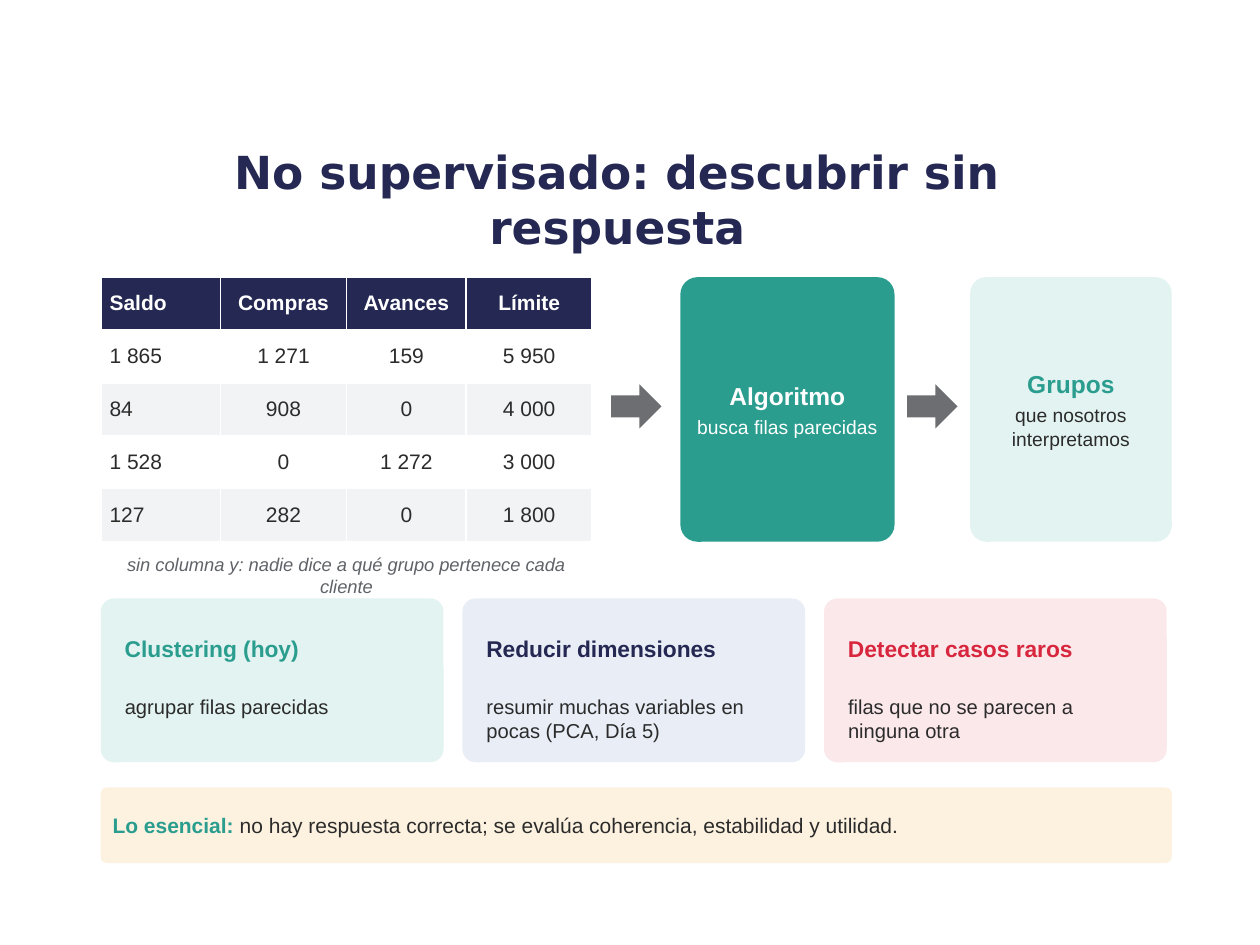
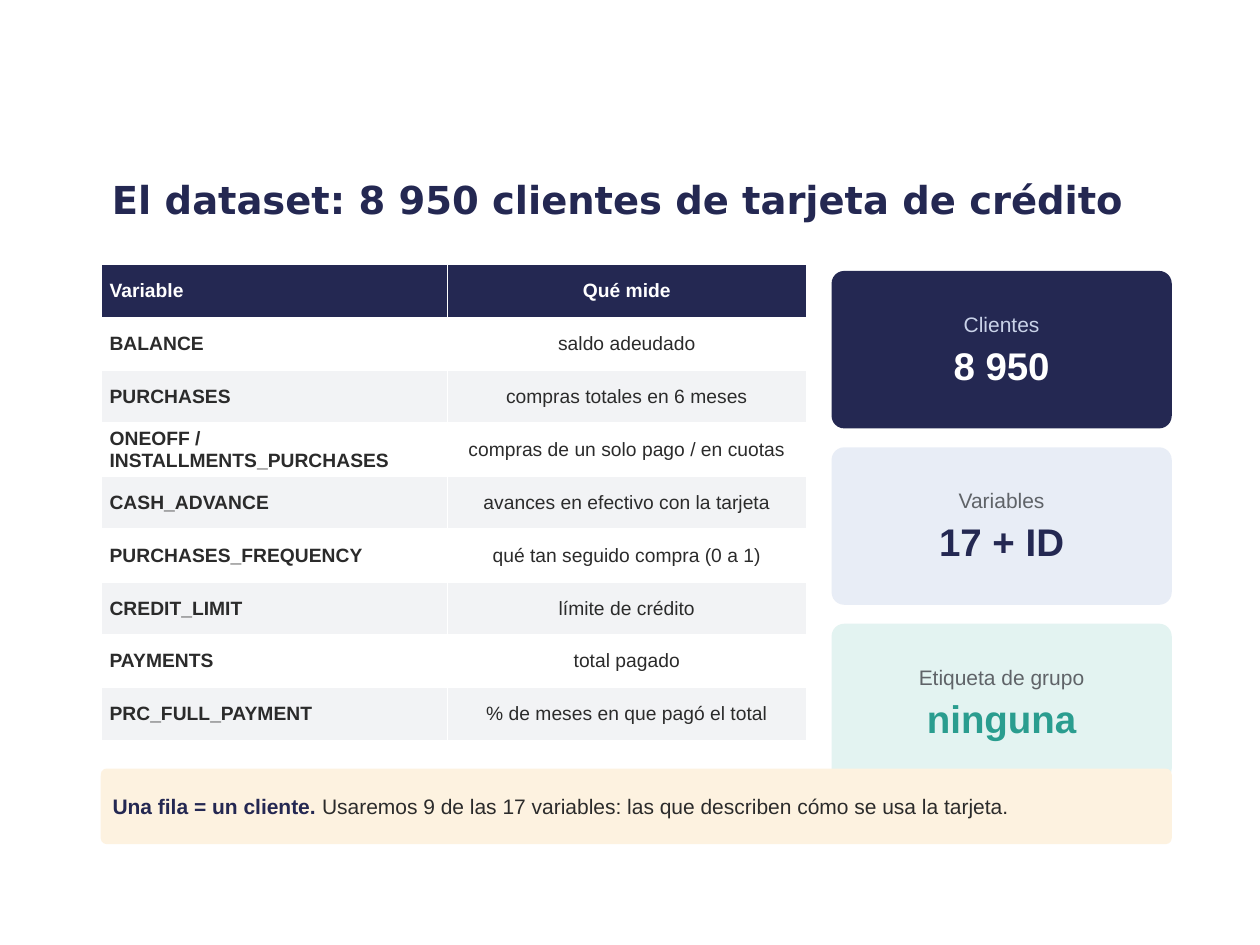
from pptx import Presentation
from pptx.dml.color import RGBColor
from pptx.enum.shapes import MSO_SHAPE as Shape
from pptx.enum.text import MSO_ANCHOR as Anchor, MSO_AUTO_SIZE as Fit, PP_ALIGN as Align
from pptx.util import Inches, Pt

NAVY, TEAL, RED, INK, GRAY = "242852", "2A9D8F", "D7263D", "2B2B2B", "5F6368"
WHITE, STRIPE, ARROW, PALE = "FFFFFF", "F2F3F5", "6D6E71", "C9D2E8"
MINT, LILAC, ROSE, CREAM = "E3F3F1", "E8EDF6", "FBE8EA", "FDF2E0"
LEFT, WIDE, ROW, GAP = 0.8, 8.5, 0.42, 0.15

SAMPLE = [
    ("Saldo", "Compras", "Avances", "Límite"),
    ("1 865", "1 271", "159", "5 950"),
    ("84", "908", "0", "4 000"),
    ("1 528", "0", "1 272", "3 000"),
    ("127", "282", "0", "1 800"),
]
CAPTION = "sin columna y: nadie dice a qué grupo pertenece cada cliente"
STEPS = [
    (5.4, 1.7, TEAL, ("Algoritmo", WHITE), ("busca filas parecidas", WHITE)),
    (7.7, 1.6, MINT, ("Grupos", TEAL), ("que nosotros interpretamos", INK)),
]
TASKS = [
    ("Clustering (hoy)", "agrupar filas parecidas", TEAL, MINT),
    ("Reducir dimensiones", "resumir muchas variables en pocas (PCA, Día 5)", NAVY, LILAC),
    ("Detectar casos raros", "filas que no se parecen a ninguna otra", RED, ROSE),
]
FIELDS = [
    ("Variable", "Qué mide"),
    ("BALANCE", "saldo adeudado"),
    ("PURCHASES", "compras totales en 6 meses"),
    ("ONEOFF / INSTALLMENTS_PURCHASES", "compras de un solo pago / en cuotas"),
    ("CASH_ADVANCE", "avances en efectivo con la tarjeta"),
    ("PURCHASES_FREQUENCY", "qué tan seguido compra (0 a 1)"),
    ("CREDIT_LIMIT", "límite de crédito"),
    ("PAYMENTS", "total pagado"),
    ("PRC_FULL_PAYMENT", "% de meses en que pagó el total"),
]
FACTS = [
    ("Clientes", "8 950", NAVY, PALE, WHITE),
    ("Variables", "17 + ID", LILAC, GRAY, NAVY),
    ("Etiqueta de grupo", "ninguna", MINT, GRAY, TEAL),
]


def rgb(code):
    """Turn a hex string into a colour."""
    return RGBColor.from_string(code)


def style(font, color, size, bold=False, name="Arial"):
    """Set the face, size, weight and colour of a font."""
    font.name, font.size, font.bold = name, Pt(size), bold
    font.color.rgb = rgb(color)


def write(frame, lines, align, after, pad):
    """Fill a text frame with lines of (text, colour, size, bold)."""
    frame.word_wrap = True
    frame.margin_left = frame.margin_right = Inches(pad)
    frame.margin_top = frame.margin_bottom = Inches(pad)
    for i, (text, *look) in enumerate(lines):
        para = frame.add_paragraph() if i else frame.paragraphs[0]
        para.text, para.alignment, para.space_after = text, align, Pt(after)
        style(para.font, *look)


def block(slide, kind, box, fill):
    """Add a plain filled shape."""
    shape = slide.shapes.add_shape(kind, *map(Inches, box))
    shape.shadow.inherit = False
    shape.fill.solid()
    shape.fill.fore_color.rgb = rgb(fill)
    shape.line.fill.background()
    return shape


def card(slide, box, fill, lines=(), align=Align.CENTER):
    """Add a rounded card with centred lines."""
    shape = block(slide, Shape.ROUNDED_RECTANGLE, box, fill)
    shape.adjustments[0] = 0.08
    shape.text_frame.vertical_anchor = Anchor.MIDDLE
    write(shape.text_frame, lines, align, 3, 0.08)
    return shape


def label(slide, box, line, align=Align.LEFT, anchor=Anchor.TOP):
    """Add a one-paragraph text box and return its paragraph."""
    frame = slide.shapes.add_textbox(*map(Inches, box)).text_frame
    frame.vertical_anchor = anchor
    write(frame, [line], align, 4, 0.04)
    return frame.paragraphs[0]


def strip(slide, top, lead, color, rest):
    """Add the closing band with a bold lead."""
    shape = card(slide, (LEFT, top, WIDE, 0.6), CREAM, [("", INK, 12)], Align.LEFT)
    para = shape.text_frame.paragraphs[0]
    for text, tone, bold in ((lead + " ", color, True), (rest, INK, False)):
        run = para.add_run()
        run.text = text
        style(run.font, tone, 12, bold)


def grid(slide, top, rows, widths, size, keys=False):
    """Add a striped table, with bold first column if keys is set."""
    box = (LEFT, top, sum(widths), ROW * len(rows))
    table = slide.shapes.add_table(len(rows), len(widths), *map(Inches, box)).table
    for col, width in zip(table.columns, widths):
        col.width = Inches(width)
    for r, row in enumerate(rows):
        table.rows[r].height = Inches(ROW)
        fill = STRIPE if r and r % 2 == 0 else WHITE if r else NAVY
        for c, text in enumerate(row):
            cell = table.cell(r, c)
            cell.fill.solid()
            cell.fill.fore_color.rgb = rgb(fill)
            cell.vertical_anchor = Anchor.MIDDLE
            cell.margin_left = cell.margin_right = Inches(0.07)
            cell.margin_top = cell.margin_bottom = Inches(0.03)
            para = cell.text_frame.paragraphs[0]
            para.text = text
            para.alignment = Align.CENTER if c else Align.LEFT
            bold = r == 0 or (keys and c == 0)
            style(para.font, INK if r else WHITE, size, bold)


def start(deck, text, size):
    """Add a slide with its title."""
    slide = deck.slides.add_slide(deck.slide_layouts[5])
    title = slide.shapes.title
    title.left, title.top, title.width, title.height = map(Inches, (0.75, 1.18, 8.3, 0.8))
    frame = title.text_frame
    frame.text, frame.auto_size = text, Fit.NONE
    frame.vertical_anchor = Anchor.MIDDLE
    para = frame.paragraphs[0]
    para.alignment = Align.CENTER
    style(para.font, NAVY, size, True, "DejaVu Sans")
    return slide


def groups(deck):
    """Build the slide on unsupervised learning."""
    slide = start(deck, "No supervisado: descubrir sin respuesta", 26)
    grid(slide, 2.2, SAMPLE, (0.95, 1, 0.95, 1), 12)
    note = label(slide, (LEFT, 4.35, 3.9, 0.35), (CAPTION, GRAY, 10.5), Align.CENTER)
    note.font.italic = True
    for x, arrow in zip((4.85, 7.2), STEPS):
        left, width, fill, head, body = arrow
        block(slide, Shape.RIGHT_ARROW, (x, 3.05, 0.4, 0.35), ARROW)
        card(slide, (left, 2.2, width, 2.1), fill, [(*head, 14, True), (*body, 11)])
    width = 2.72
    for i, (head, body, color, fill) in enumerate(TASKS):
        x = LEFT + i * (width + GAP)
        card(slide, (x, 4.75, width, 1.3), fill)
        label(slide, (x + 0.15, 4.87, 2.47, 0.55), (head, color, 13, True), anchor=Anchor.MIDDLE)
        label(slide, (x + 0.15, 5.47, 2.42, 0.5), (body, INK, 11.5))
    strip(slide, 6.25, "Lo esencial:", TEAL,
          "no hay respuesta correcta; se evalúa coherencia, estabilidad y utilidad.")


def data(deck):
    """Build the slide on the dataset."""
    slide = start(deck, "El dataset: 8 950 clientes de tarjeta de crédito", 22)
    grid(slide, 2.1, FIELDS, (2.75, 2.85), 11, True)
    high = 1.25
    for i, (name, value, fill, tone, color) in enumerate(FACTS):
        box = (6.6, 2.15 + i * (high + GAP), 2.7, high)
        card(slide, box, fill, [(name, tone, 12), (value, color, 22, True)])
    strip(slide, 6.1, "Una fila = un cliente.", NAVY,
          "Usaremos 9 de las 17 variables: las que describen cómo se usa la tarjeta.")


def main():
    """Build and save the deck."""
    deck = Presentation()
    deck.slide_width, deck.slide_height = Inches(10), Inches(7.5)
    groups(deck)
    data(deck)
    deck.save("out.pptx")


if __name__ == "__main__":
    main()
